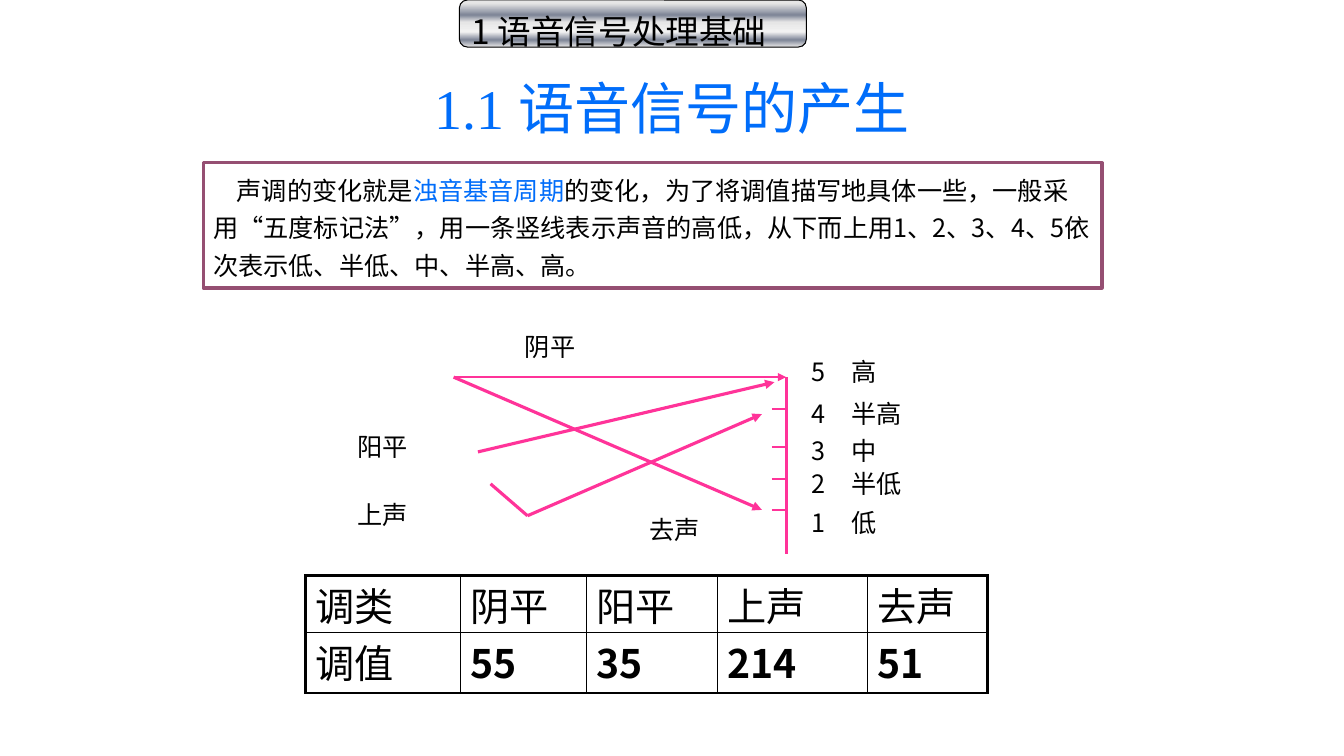
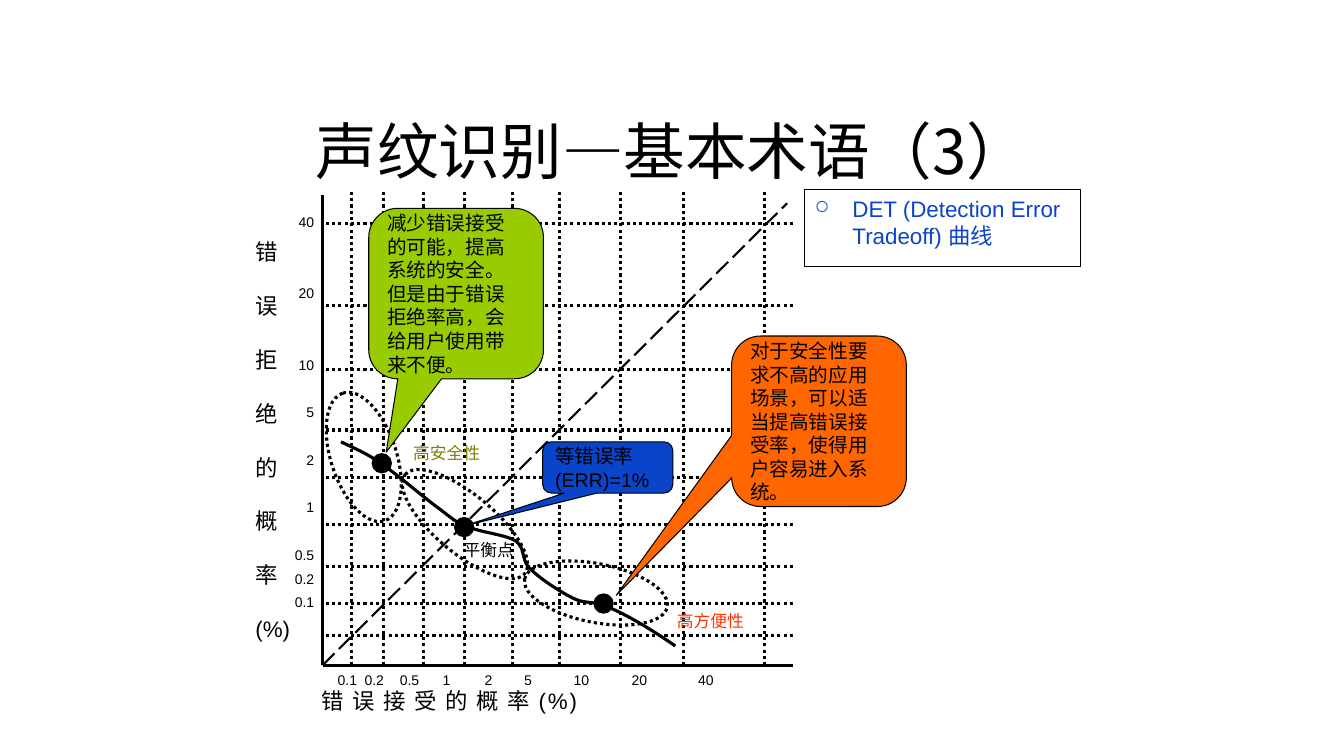
import itertools
from dataclasses import dataclass

from lxml import etree
from pptx import Presentation
from pptx import util as u
from pptx.dml.color import RGBColor
from pptx.enum import dml, shapes, text
from pptx.oxml import ns

COLUMNS, ROWS = 160, 90
CELL = u.Inches(7.5) // ROWS
CJK, LATIN, SERIF = "Noto Sans CJK SC", "Arial", "Times New Roman"
COLORS = {
    "ink": "000000", "paper": "FFFFFF", "azure": "006DFA", "plum": "954F72",
    "pink": "FF3399", "cobalt": "0944C9", "lime": "99CC00", "orange": "FF6600",
    "olive": "808000", "red": "FF3300",
    "silver": "E6E6E6", "steel": "7D8496", "pearl": "F2F2F2",
}
DOTS, DASHES = dml.MSO_LINE.ROUND_DOT, dml.MSO_LINE.LONG_DASH
SHAPE = shapes.MSO_SHAPE


@dataclass(frozen=True)
class Box:
    """Place on the grid, in columns and rows."""
    left: float
    top: float
    width: float
    height: float

    def emu(self):
        return [cells(n) for n in (self.left, self.top, self.width, self.height)]


@dataclass(frozen=True)
class Stroke:
    start: tuple[float, float]
    end: tuple[float, float]
    color: str = "ink"
    weight: float = 2.25
    dash: object = None
    arrow: bool = False


@dataclass(frozen=True)
class Label:
    words: str
    box: Box
    color: str = "ink"


@dataclass(frozen=True)
class Callout:
    words: str
    box: Box
    fill: str
    tip: tuple[float, float]


def cells(count: float) -> int:
    return int(round(count * CELL))


def rgb(name: str) -> RGBColor:
    return RGBColor.from_string(COLORS[name])


def child(parent, tag: str, **attributes):
    node = etree.SubElement(parent, ns.qn(tag))
    for key, value in attributes.items():
        node.set(key, str(value))
    return node


def write(frame, *parts, size: float, font=CJK, color="ink", bold=False,
          align=text.PP_ALIGN.LEFT, line=1.2, before=0, indent=0, hang=0,
          tabs=(), bullet=None, spread=0):
    """Add a paragraph; a part is a string or (string, dict of font, color).

    line is a multiple of the text size, indent and tabs are grid columns.
    """
    paragraph = frame.paragraphs[0] if not frame.text else frame.add_paragraph()
    props = paragraph._p.get_or_add_pPr()
    if indent or hang:
        props.set("marL", str(cells(hang)))
        props.set("indent", str(cells(indent - hang)))
    if bullet:
        child(props, "a:buSzPct", val=85000)
        child(props, "a:buChar", char=bullet)
    if tabs:
        stops = child(props, "a:tabLst")
        for stop in tabs:
            child(stops, "a:tab", pos=cells(stop), algn="l")
    paragraph.alignment = align
    paragraph.line_spacing = u.Pt(round(size * line, 1))
    paragraph.space_before = u.Pt(before)
    for part in parts:
        words, special = (part, {}) if isinstance(part, str) else part
        run = paragraph.add_run()
        run.text = words
        run.font.size, run.font.bold = u.Pt(size), bold
        run.font.color.rgb = rgb(special.get("color", color))
        run.font.name = special.get("font", font)
        run_props = run._r.get_or_add_rPr()
        child(run_props, "a:ea", typeface=CJK)
        if spread:
            run_props.set("spc", str(spread))


def text_box(slide, box: Box, inset: bool = True):
    frame = slide.shapes.add_textbox(*box.emu()).text_frame
    frame.word_wrap = True
    if not inset:
        frame.margin_left = frame.margin_right = 0
        frame.margin_top = frame.margin_bottom = 0
    return frame


def outline(shape, fill=None, color="ink", weight=0.75, dash=None):
    shape.shadow.inherit = False
    if fill:
        shape.fill.solid()
        shape.fill.fore_color.rgb = rgb(fill)
    else:
        shape.fill.background()
    shape.line.color.rgb = rgb(color)
    shape.line.width = u.Pt(weight)
    if dash:
        shape.line.dash_style = dash


def add_shape(slide, kind, box: Box, **style):
    shape = slide.shapes.add_shape(kind, *box.emu())
    outline(shape, **style)
    shape.text_frame.word_wrap = True
    shape.text_frame.vertical_anchor = text.MSO_ANCHOR.TOP
    return shape


def draw_stroke(slide, stroke: Stroke):
    ends = [cells(n) for n in (*stroke.start, *stroke.end)]
    line = slide.shapes.add_connector(shapes.MSO_CONNECTOR.STRAIGHT, *ends)
    line.line.color.rgb = rgb(stroke.color)
    line.line.width = u.Pt(stroke.weight)
    if stroke.dash:
        line.line.dash_style = stroke.dash
    if stroke.arrow:
        child(line.line._get_or_add_ln(), "a:tailEnd", type="triangle")
    child(line._element.spPr, "a:effectLst")


def draw_callout(slide, callout: Callout):
    shape = add_shape(slide, SHAPE.ROUNDED_RECTANGULAR_CALLOUT, callout.box, fill=callout.fill)
    for index, value in enumerate((*callout.tip, 0.17)):
        shape.adjustments[index] = value
    frame = shape.text_frame
    frame.vertical_anchor = text.MSO_ANCHOR.MIDDLE
    frame.margin_right = u.Inches(0.12)
    write(frame, callout.words, size=14, font=LATIN)


def titled_slide(deck, *parts, height: float, **style):
    slide = deck.slides.add_slide(deck.slide_layouts[5])
    title = slide.shapes.title
    title.left, title.top, title.width, title.height = Box(11, 4.8, 138, height).emu()
    frame = title.text_frame
    frame.auto_size = text.MSO_AUTO_SIZE.NONE
    frame.word_wrap = True
    frame.vertical_anchor = text.MSO_ANCHOR.BOTTOM
    frame.margin_bottom = 0
    write(frame, *parts, align=text.PP_ALIGN.CENTER, line=1.08, **style)
    return slide


def metal_fill(shape):
    stops = [(7, "silver"), (32, "steel"), (47, "silver"),
             (68, "pearl"), (85, "steel"), (100, "silver")]
    shape.fill.gradient()
    gradient = shape._element.spPr.find(ns.qn("a:gradFill"))
    for old in list(gradient):
        gradient.remove(old)
    stop_list = child(gradient, "a:gsLst")
    for share, color in stops:
        child(child(stop_list, "a:gs", pos=share * 1000), "a:srgbClr", val=COLORS[color])
    child(gradient, "a:lin", ang=5400000, scaled=0)


def tone_table(slide):
    content = [["调类", "阴平", "阳平", "上声", "去声"], ["调值", "55", "35", "214", "51"]]
    widths, heights = [18.4, 15, 15.6, 17.9, 14.3], [6.8, 7.2]
    place = Box(36.4, 68.5, sum(widths), sum(heights))
    table = slide.shapes.add_table(len(heights), len(widths), *place.emu()).table
    table.first_row = table.horz_banding = False
    for column, width in zip(table.columns, widths):
        column.width = cells(width)
    for row, height in zip(table.rows, heights):
        row.height = cells(height)
    last_row, last_column = len(heights) - 1, len(widths) - 1
    for r, c in itertools.product(range(len(heights)), range(len(widths))):
        cell = table.cell(r, c)
        cell.margin_top, cell.margin_bottom = u.Inches(0.1), 0
        write(cell.text_frame, content[r][c], size=28, bold=r > 0 and c > 0)
        props = cell._tc.get_or_add_tcPr()
        outer = {"a:lnL": c == 0, "a:lnR": c == last_column,
                 "a:lnT": r == 0, "a:lnB": r == last_row}
        for side, thick in outer.items():
            border = child(props, side, w=u.Pt(2.25 if thick else 1))
            child(child(border, "a:solidFill"), "a:srgbClr", val=COLORS["ink"])
        cell.fill.background()


def tone_slide(deck):
    slide = titled_slide(deck, ("1.1 ", {"font": SERIF}), "语音信号的产生",
                         height=12, size=40, color="azure")
    chapter = add_shape(slide, SHAPE.ROUNDED_RECTANGLE, Box(54.7, 0, 41.3, 5.6))
    metal_fill(chapter)
    write(chapter.text_frame, "1 语音信号处理基础", size=24, line=1.3)
    intro = add_shape(slide, SHAPE.RECTANGLE, Box(24.2, 19.4, 107, 14.9),
                      color="plum", weight=2.25)
    write(intro.text_frame, "声调的变化就是", ("浊音基音周期", {"color": "azure"}),
          "的变化，为了将调值描写地具体一些，一般采用“五度标记法”，用一条竖线表示声音的高低，"
          "从下而上用1、2、3、4、5依次表示低、半低、中、半高、高。",
          size=18, line=1.49, indent=2.8)

    high, scale_x, fall_start, dip = 44.9, 93.6, (54, 44.9), (62.8, 61.4)
    strokes = [
        Stroke(fall_start, (scale_x, high), "pink", 1.5, arrow=True),
        Stroke((scale_x, high), (scale_x, 65.9), "pink"),
        *(Stroke((91.9, y), (93.4, y), "pink", 1.5) for y in (48.7, 53.2, 57, 60.7)),
        Stroke(fall_start, (90.7, 60.7), "pink", arrow=True),
        Stroke((56.9, 53.8), (92.2, 45.5), "pink", arrow=True),
        Stroke((58.4, 57.6), dip, "pink"),
        Stroke(dip, (90.7, 49.3), "pink", arrow=True),
    ]
    for stroke in strokes:
        draw_stroke(slide, stroke)
    levels = [("5\t高", 41.8), ("4\t半高", 46.8), ("3\t中", 51.2),
              ("2\t半低", 55.2), ("1\t低", 59.8)]
    tones = [("阴平", 61.3, 38.8), ("阳平", 41.4, 50.8),
             ("上声", 41.4, 58.8), ("去声", 76.1, 60.7)]
    labels = [Label(words, Box(95.4, y, 24, 4.8)) for words, y in levels]
    labels += [Label(words, Box(x, y, 20, 4.8)) for words, x, y in tones]
    for label in labels:
        write(text_box(slide, label.box), label.words, size=18, tabs=(4.8,))
    tone_table(slide)


def det_axes(slide):
    left, right, top, bottom = 38.4, 94.4, 22.9, 79.2
    columns = (41.9, 45.7, 50.4, 55.3, 61, 66.6, 73.9, 81.4, 91)
    rows = (26.6, 36.4, 44, 51.2, 56.9, 62.4, 67.4, 71.9, 75.7)
    strokes = [
        Stroke((left, bottom), (left, 23.2)),
        Stroke((right, bottom), (left, bottom)),
        *(Stroke((x, bottom), (x, top), dash=DOTS) for x in columns),
        *(Stroke((right, y), (left, y), dash=DOTS) for y in rows),
        Stroke((left, bottom), (93.7, 24.2), weight=1.5, dash=DASHES),
    ]
    for stroke in strokes:
        draw_stroke(slide, stroke)

    ticks = ["0.1", "0.2", "0.5", "1", "2", "5", "10", "20", "40"]
    write(text_box(slide, Box(40.2, 79.9, 54.1, 2), inset=False), "\t".join(ticks),
          size=10, font=LATIN, tabs=(3.2, 7.4, 12.5, 17.5, 22.2, 28.1, 35, 42.9))
    tick_column = text_box(slide, Box(34.3, 25.4, 3.1, 52.9), inset=False)
    for tick, steps in zip(reversed(ticks), (0, 3, 3, 2, 2, 2, 2, 1, 1)):
        write(tick_column, tick, size=10, font=LATIN, align=text.PP_ALIGN.RIGHT,
              before=max(0, 17 * steps - 12))
    write(text_box(slide, Box(38.3, 81.8, 55, 3), inset=False),
          "错 误 接 受 的 概 率 (%)", size=16, font=LATIN, spread=130)
    rejection = text_box(slide, Box(30.4, 25.2, 4.2, 53.8), inset=False)
    for words in (*"错误拒绝的概率", "(%)"):
        write(rejection, words, size=16, font=LATIN, line=2.4)


def det_curve(slide):
    """Draw the joined cubic Bezier arcs as one fine polyline."""
    start = (40.6, 52.6)
    arcs = [
        ((42, 53.3), (43.6, 53.9), (45.4, 55.2)), ((47.3, 56.5), (50.2, 59), (51.8, 60.2)),
        ((53.5, 61.4), (53.9, 62), (55.4, 62.6)), ((57.1, 63.4), (60.1, 63.6), (61.4, 64.4)),
        ((62.6, 65.3), (62, 66.6), (63.1, 67.7)), ((64.3, 68.9), (66.6, 70.4), (68.2, 71.2)),
        ((69.7, 72), (70.7, 71.4), (72.7, 72.4)), ((74.8, 73.3), (77.5, 74.9), (80.4, 76.9)),
    ]
    steps, points, here = 10, [], start
    for arc in arcs:
        for t in (n / steps for n in range(1, steps + 1)):
            weights = ((1 - t) ** 3, 3 * t * (1 - t) ** 2, 3 * t * t * (1 - t), t ** 3)
            points.append(tuple(cells(sum(w * p[axis] for w, p in zip(weights, (here, *arc))))
                                for axis in (0, 1)))
        here = arc[-1]
    builder = slide.shapes.build_freeform(cells(start[0]), cells(start[1]))
    builder.add_line_segments(points, close=False)
    outline(builder.convert_to_shape(), weight=2.25)


def det_slide(deck):
    slide = titled_slide(deck, "声纹识别—基本术语（3）", height=17.4, size=44)
    det_axes(slide)
    for x, y in ((54.1, 61.6), (44.3, 54), (70.7, 70.7)):
        add_shape(slide, SHAPE.OVAL, Box(x, y, 2.3, 2.3), fill="ink")
    regions = [(Box(46.1, 58.9, 18.5, 7), 39.7), (Box(62.3, 67.1, 17.3, 7), 11.1),
               (Box(35.3, 50.5, 16, 7.8), 71.9)]
    for box, angle in regions:
        add_shape(slide, SHAPE.OVAL, box, weight=2.25, dash=DOTS).rotation = angle
    det_curve(slide)
    notes = [
        Callout("等错误率(ERR)=1%", Box(64.6, 52.6, 15.5, 6.1), "cobalt", (-1.1, 1.14)),
        Label("平衡点", Box(54, 63.7, 9, 3.6)),
        Callout("减少错误接受的可能，提高系统的安全。但是由于错误拒绝率高，会给用户使用带来不便。",
                Box(43.9, 24.8, 20.8, 20.3), "lime", (-0.4, 0.93)),
        Label("高安全性", Box(48, 52.1, 12.1, 3.6), "olive"),
        Label("高方便性", Box(79.4, 72.1, 11.3, 3.6), "red"),
        Callout("对于安全性要求不高的应用场景，可以适当提高错误接受率，使得用户容易进入系统。",
                Box(87.1, 40, 20.8, 20.3), "orange", (-1.16, 1.02)),
    ]
    for note in notes:
        if isinstance(note, Callout):
            draw_callout(slide, note)
        else:
            write(text_box(slide, note.box), note.words, size=12, font=LATIN, color=note.color)
    term = add_shape(slide, SHAPE.RECTANGLE, Box(95.8, 22.6, 32.8, 9.1), fill="paper")
    write(term.text_frame, "DET (Detection Error Tradeoff) 曲线", size=16, font=LATIN,
          color="cobalt", hang=4.5, bullet="○")


def main():
    deck = Presentation()
    deck.slide_width, deck.slide_height = cells(COLUMNS), cells(ROWS)
    tone_slide(deck)
    det_slide(deck)
    deck.save("out.pptx")


if __name__ == "__main__":
    main()
